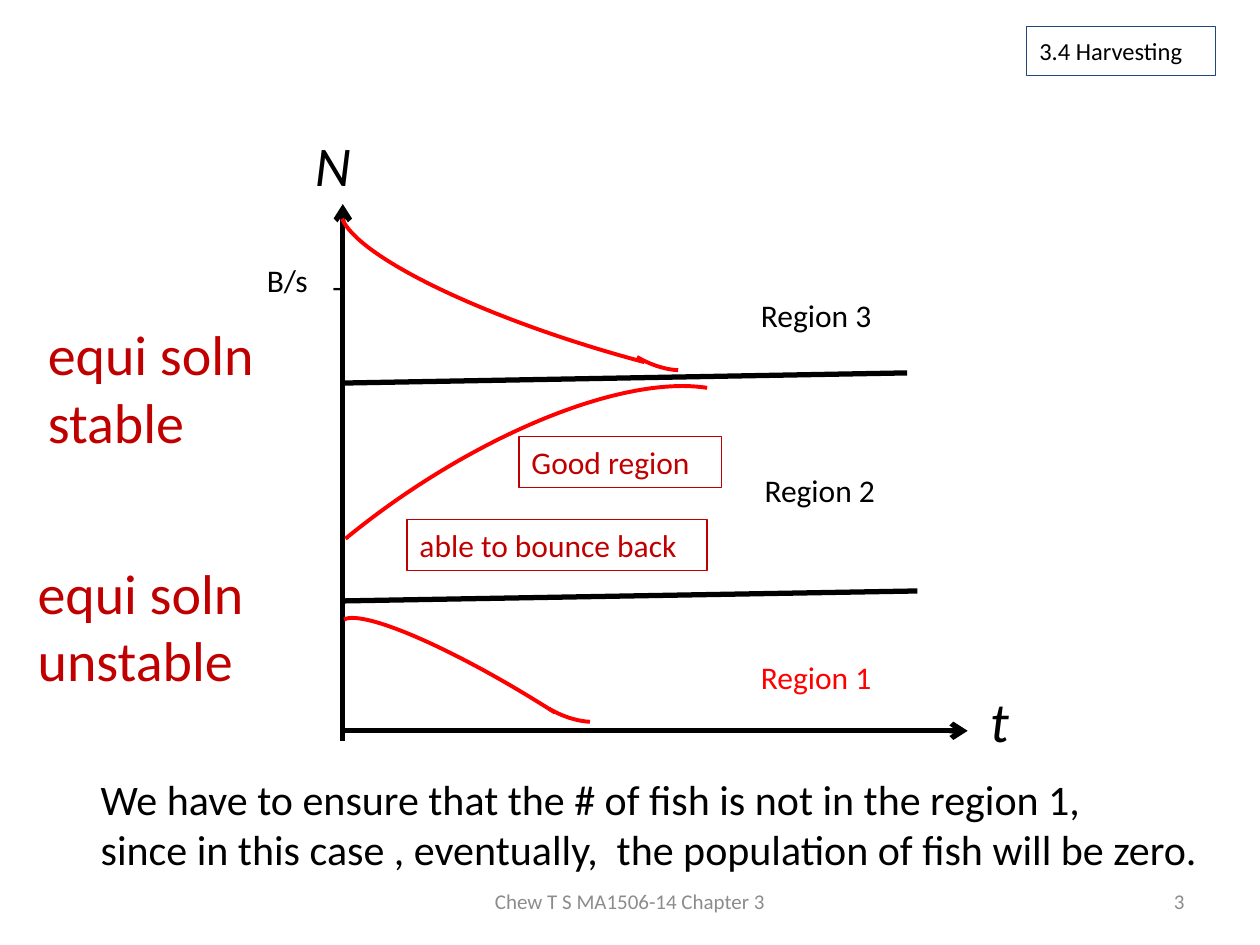
import pptx
import pptx.dml.color
import pptx.enum.shapes
import pptx.enum.text
import pptx.oxml.ns
import pptx.oxml.xmlchemy
import pptx.util

Pt = pptx.util.Pt
MSO_SHAPE = pptx.enum.shapes.MSO_SHAPE
ANCHOR = pptx.enum.text.MSO_ANCHOR
ALIGN = pptx.enum.text.PP_ALIGN


class Theme:
    font = "Calibri"
    black, grey = "000000", "8C8C8C"
    dark_red, red, navy = "C00000", "FF0000", "1F497D"
    footer, heading, label, body, large = 12, 14, 18, 24, 32
    thin, curve, axis = 0.75, 2.25, 3


def rgb(value):
    return pptx.dml.color.RGBColor.from_string(value)


def add_text(text, box, size, color=Theme.black, wrap=True, anchor=ANCHOR.TOP,
             align=ALIGN.LEFT, italic=False, border=None):
    lengths = [Pt(value) for value in box]
    if border:
        holder = slide.shapes.add_shape(MSO_SHAPE.RECTANGLE, *lengths)
        holder.shadow.inherit = False
        holder.fill.background()
        holder.line.color.rgb = rgb(border)
        holder.line.width = Pt(Theme.thin)
    else:
        holder = slide.shapes.add_textbox(*lengths)
    frame = holder.text_frame
    frame.word_wrap = wrap
    frame.vertical_anchor = anchor
    frame.text = text
    for paragraph in frame.paragraphs:
        paragraph.alignment = align
        paragraph.font.name = Theme.font
        paragraph.font.size = Pt(size)
        paragraph.font.italic = italic
        paragraph.font.color.rgb = rgb(color)


deck = pptx.Presentation()
deck.slide_width, deck.slide_height = Pt(720), Pt(540)
slide = deck.slides.add_slide(deck.slide_layouts[6])

for text, box, align in [
    ("Chew T S MA1506-14 Chapter 3", (246, 500.5, 228, 28.75), ALIGN.CENTER),
    ("3", (516, 500.5, 168, 28.75), ALIGN.RIGHT),
]:
    add_text(text, box, Theme.footer, Theme.grey, anchor=ANCHOR.MIDDLE, align=align)

origin_x = 195.9
for start_y, end_x, end_y, has_arrow in [
    (423.4, origin_x, 116.6, True),
    (417.6, 553, 417.6, True),
    (218.9, 518.4, 213.1, False),
    (343.4, 524.2, 337.7, False),
]:
    axis = slide.shapes.add_connector(
        pptx.enum.shapes.MSO_CONNECTOR.STRAIGHT,
        Pt(origin_x), Pt(start_y), Pt(end_x), Pt(end_y))
    axis.line.color.rgb = rgb(Theme.black)
    axis.line.width = Pt(Theme.axis)
    if has_arrow:
        tail = pptx.oxml.xmlchemy.OxmlElement("a:tailEnd")
        tail.set("type", "arrow")
        axis.line._get_or_add_ln().append(tail)
    axis._element.spPr.append(pptx.oxml.xmlchemy.OxmlElement("a:effectLst"))

for box, rotation, start, end, flipped in [
    ((187.9, 129.6, 342.7, 73.4), 196.3, 144.727, 214.714, False),
    ((81.4, 269.3, 386.6, 155.5), 325.7, 144.727, 210.12, False),
    ((177.1, 398.2, 239.8, 40.3), 211.7, 144.727, 215.423, True),
    ((352.8, 150.5, 38.2, 72), 122.1, 177.586, 211.414, False),
    ((302.4, 351.4, 38.2, 72), 122.1, 177.586, 211.414, False),
]:
    population = slide.shapes.add_shape(MSO_SHAPE.ARC, *[Pt(value) for value in box])
    population.rotation = rotation
    population.adjustments[0] = start
    population.adjustments[1] = end
    population.shadow.inherit = False
    population.fill.background()
    population.line.color.rgb = rgb(Theme.red)
    population.line.width = Pt(Theme.curve)
    if flipped:
        population._element.spPr.find(pptx.oxml.ns.qn("a:xfrm")).set("flipV", "1")

for text, box, color, italic in [
    ("N", (172.8, 71.3, 45.4, 46), Theme.black, True),
    ("t", (558.7, 388.8, 33.8, 46), Theme.black, True),
    ("equi soln stable", (20.2, 179.3, 164.2, 85), Theme.dark_red, False),
    ("equi soln unstable", (14.4, 315.4, 150.5, 85), Theme.dark_red, False),
]:
    add_text(text, box, Theme.large, color, italic=italic)

add_text("3.4 Harvesting", (586.8, 15, 108, 28.1), Theme.heading,
         anchor=ANCHOR.MIDDLE, border=Theme.navy)

for text, box in [
    ("Good region", (296.6, 249.6, 115.9, 29)),
    ("able to bounce back", (232.6, 296.9, 171.4, 29)),
]:
    add_text(text, box, Theme.label, Theme.dark_red, border=Theme.dark_red)

for text, box, color in [
    ("B/s", (145.4, 145.4, 55.4, 41), Theme.black),
    ("-", (182.9, 149, 23.8, 41), Theme.black),
    ("Region 1", (427.7, 372.2, 78.5, 29), Theme.red),
    ("Region 2", (429.8, 265.7, 78.5, 29), Theme.black),
    ("Region 3", (427.7, 165.6, 78.5, 29), Theme.black),
]:
    add_text(text, box, Theme.label, color, wrap=False)

add_text("We have to ensure that the # of fish is not in the region 1,\n"
         "since in this case , eventually,  the population of fish will be zero.",
         (50.4, 438.5, 647.3, 65.5), Theme.body, wrap=False)

deck.save("out.pptx")
